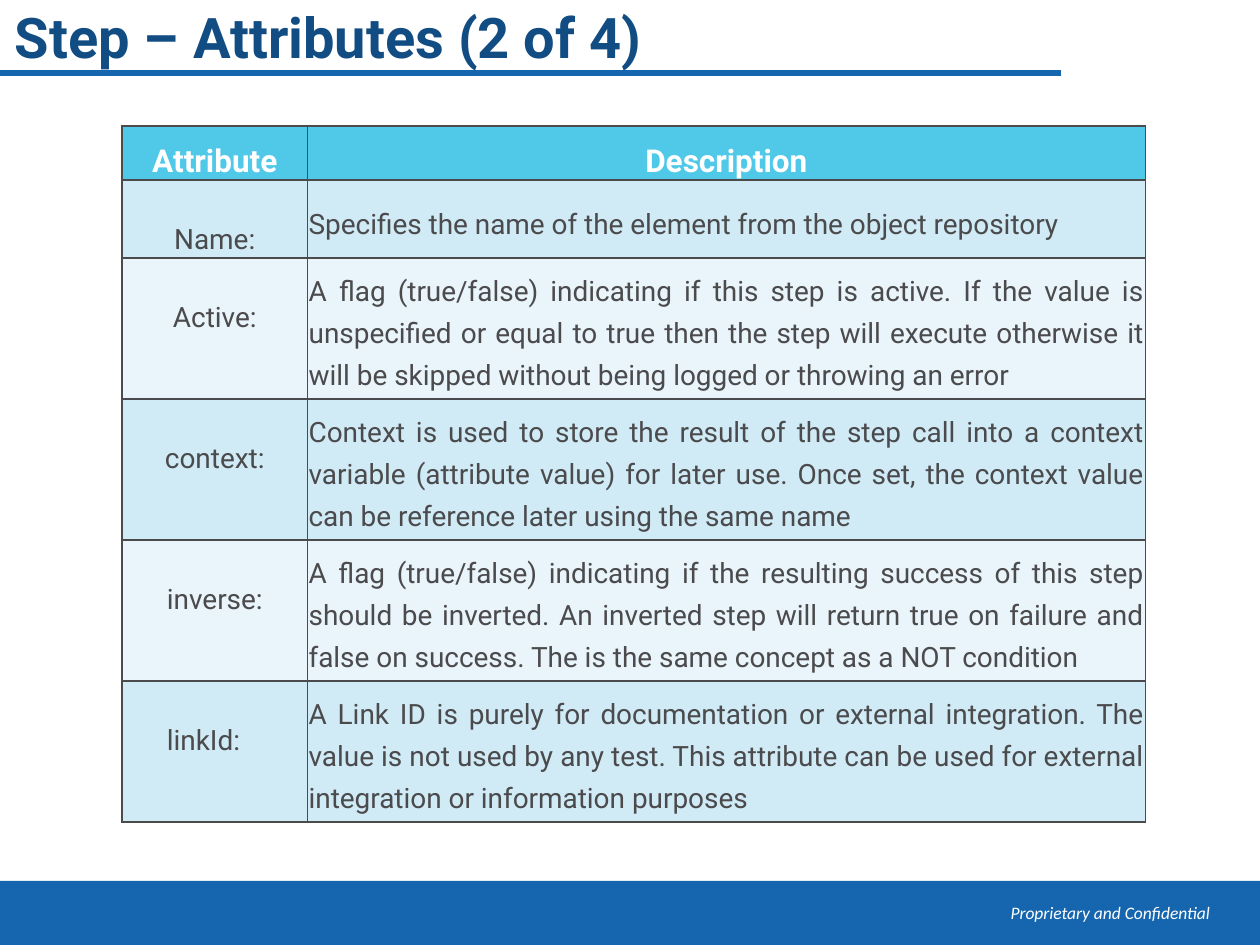
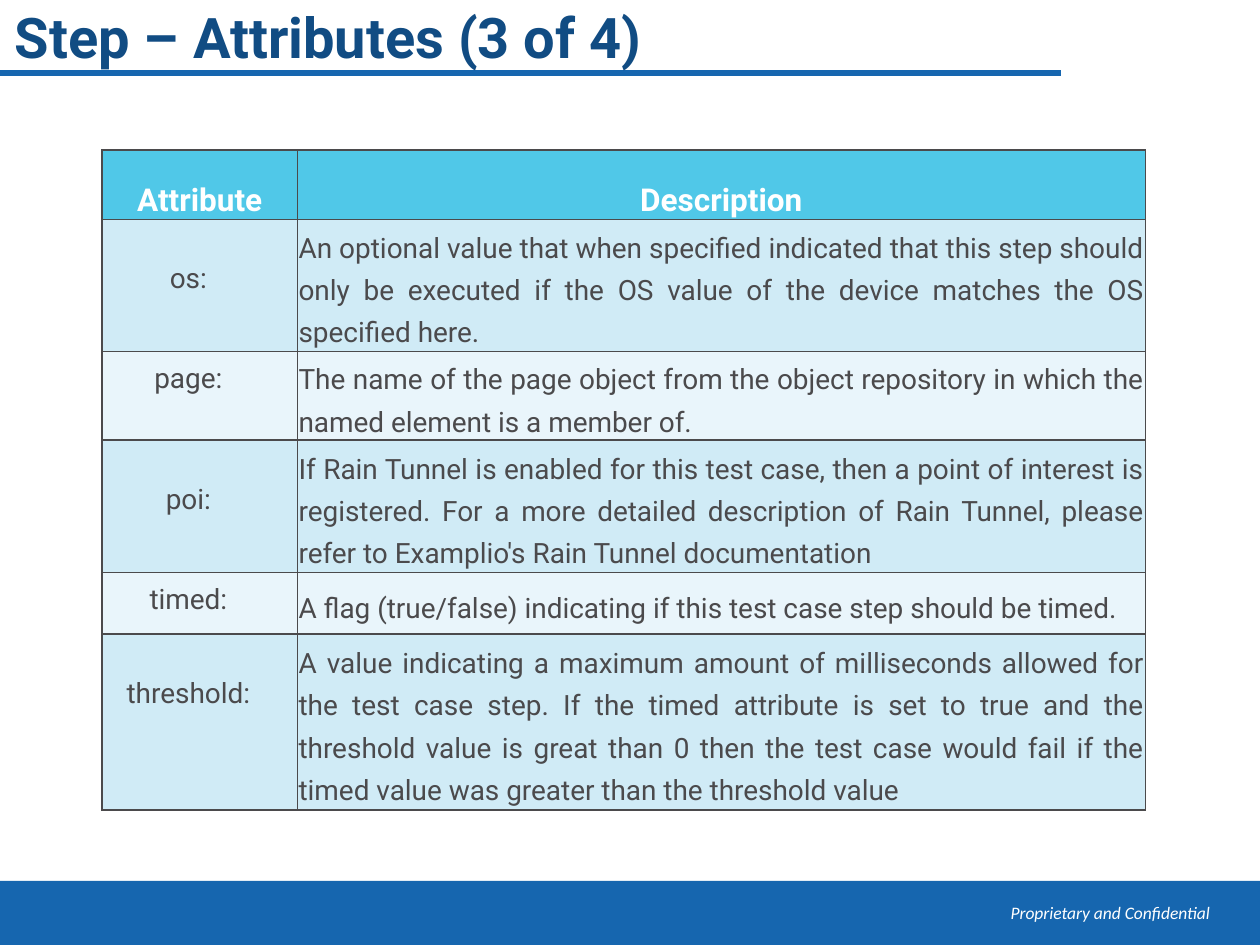
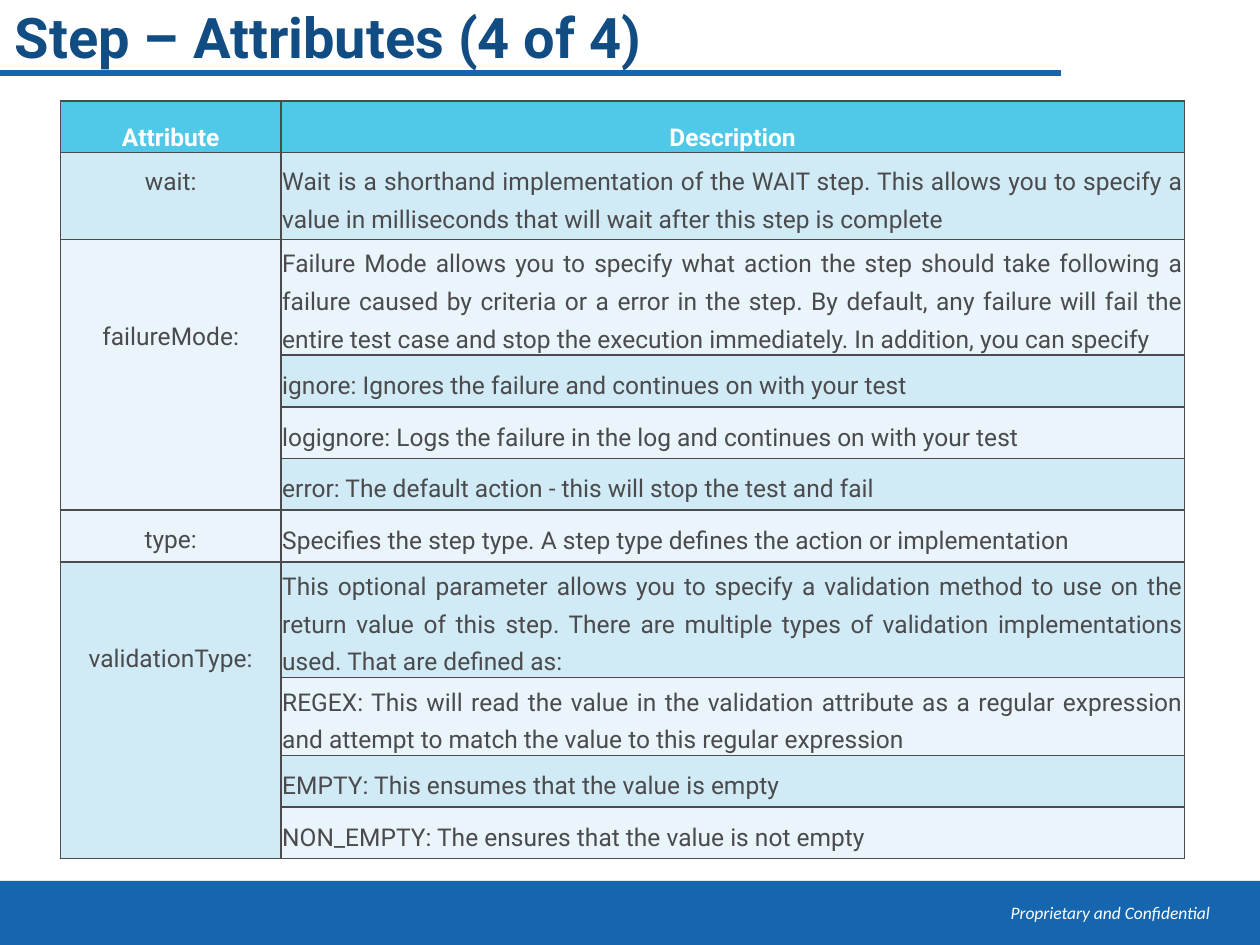
"""Build three slides of step attribute tables."""
from lxml import etree
from pptx import Presentation
from pptx.dml.color import RGBColor
from pptx.enum.shapes import MSO_CONNECTOR, MSO_SHAPE
from pptx.enum.text import MSO_ANCHOR, PP_ALIGN
from pptx.oxml.ns import qn
from pptx.util import Inches, Pt

LEFT, CENTER, RIGHT, JUSTIFY = PP_ALIGN.LEFT, PP_ALIGN.CENTER, PP_ALIGN.RIGHT, PP_ALIGN.JUSTIFY
TOP, MIDDLE, BOTTOM = MSO_ANCHOR.TOP, MSO_ANCHOR.MIDDLE, MSO_ANCHOR.BOTTOM
RECT, STRAIGHT = MSO_SHAPE.RECTANGLE, MSO_CONNECTOR.STRAIGHT

BLUE, NAVY, CYAN, WHITE, GREY = "1666AF", "114C83", "50C8E8", "FFFFFF", "4B4A4C"
BANDS = ["E9F5FB", "D0EBF6"]
TIGHT = (0.01, 0.01, 0.01, 0)
LOWERED = (0.01, 0.27, 0.01, 0)
SHIFTED = (0.01, 0.01, 0.19, 0)
LOWERED_SHIFTED = (0.01, 0.27, 0.19, 0)
ROOMY = (0.1, 0.05, 0.1, 0.05)
LOWERED_ROOMY = (0.1, 0.59, 0.1, 0.05)

TABLES = [
    {
        "title": "Step – Attributes (2 of 4)",
        "at": (0.97, 1), "cols": [1.47, 6.65],
        "heights": [0.43, 0.6, 1.12, 1.12, 1.12, 1.12],
        "head_size": 18, "size": 16,
        "rows": [
            ("Name:", LOWERED, "Specifies the name of the element from the object repository"),
            ("Active:", LOWERED,
             "A flag (true/false) indicating if this step is active. If the value is unspecified or equal "
             "to true then the step will execute otherwise it will be skipped without being logged or "
             "throwing an error"),
            ("context:", LOWERED,
             "Context is used to store the result of the step call into a context variable (attribute "
             "value) for later use. Once set, the context value can be reference later using the same name"),
            ("inverse:", LOWERED,
             "A flag (true/false) indicating if the resulting success of this step should be inverted. An "
             "inverted step will return true on failure and false on success. The is the same concept as "
             "a NOT condition"),
            ("linkId:", LOWERED_SHIFTED,
             "A Link ID is purely for documentation or external integration. The value is not used by any "
             "test. This attribute can be used for external integration or information purposes"),
        ],
    },
    {
        "title": "Step – Attributes (3 of 4)",
        "at": (0.81, 1.19), "cols": [1.55, 6.73],
        "heights": [0.55, 1.02, 0.68, 1.02, 0.49, 1.35],
        "head_size": 18, "size": 16,
        "rows": [
            ("os:", LOWERED_SHIFTED,
             "An optional value that when specified indicated that this step should only be executed if "
             "the OS value of the device matches the OS specified here."),
            ("page:", SHIFTED,
             "The name of the page object from the object repository in which the named element is a "
             "member of."),
            ("poi:", LOWERED_SHIFTED,
             "If Rain Tunnel is enabled for this test case, then a point of interest is registered. For a "
             "more detailed description of Rain Tunnel, please refer to Examplio's Rain Tunnel "
             "documentation"),
            ("timed:", SHIFTED, "A flag (true/false) indicating if this test case step should be timed."),
            ("threshold:", LOWERED_SHIFTED,
             "A value indicating a maximum amount of milliseconds allowed for the test case step. If the "
             "timed attribute is set to true and the threshold value is great than 0 then the test case "
             "would fail if the timed value was greater than the threshold value"),
        ],
    },
    {
        "title": "Step – Attributes (4 of 4)",
        "at": (0.48, 0.8), "cols": [1.75, 7.17],
        "heights": [0.41, 0.69, 0.91, 0.41, 0.41, 0.41, 0.41, 0.91, 0.61, 0.41, 0.41],
        "head_size": 14, "size": 14,
        "rows": [
            ("wait:", ROOMY,
             "Wait is a shorthand implementation of the WAIT step. This allows you to specify a value in "
             "milliseconds that will wait after this step is complete"),
            ("failureMode:", LOWERED_ROOMY,
             "Failure Mode allows you to specify what action the step should take following a failure "
             "caused by criteria or a error in the step. By default, any failure will fail the entire "
             "test case and stop the execution immediately. In addition, you can specify"),
            (None, ROOMY, "ignore: Ignores the failure and continues on with your test"),
            (None, ROOMY, "logignore: Logs the failure in the log and continues on with your test"),
            (None, ROOMY, "error: The default action - this will stop the test and fail"),
            ("type:", ROOMY, "Specifies the step type. A step type defines the action or implementation"),
            ("validationType:", LOWERED_ROOMY,
             "This optional parameter allows you to specify a validation method to use on the return "
             "value of this step. There are multiple types of validation implementations used. That are "
             "defined as:"),
            (None, ROOMY,
             "REGEX: This will read the value in the validation attribute as a regular expression and "
             "attempt to match the value to this regular expression"),
            (None, ROOMY, "EMPTY: This ensumes that the value is empty"),
            (None, ROOMY, "NON_EMPTY: The ensures that the value is not empty"),
        ],
    },
]


def rgb(color):
    return RGBColor.from_string(color)


def write(tf, text, size, color, align, font="Roboto", bold=False, italic=False, spacing=1.0):
    p = tf.paragraphs[0]
    p.text, p.alignment, p.line_spacing = text, align, spacing
    p.font.name, p.font.size, p.font.color.rgb = font, Pt(size), rgb(color)
    p.font.bold, p.font.italic = bold, italic


prs = Presentation()
prs.slide_width, prs.slide_height = Inches(10), Inches(7.5)

for spec_table in TABLES:
    s = prs.slides.add_slide(prs.slide_layouts[6])

    band = s.shapes.add_shape(RECT, Inches(0), Inches(6.99), Inches(10), Inches(0.51))
    band.shadow.inherit = False
    band.fill.solid()
    band.fill.fore_color.rgb = rgb(BLUE)
    band.line.fill.background()

    footer = s.shapes.add_textbox(Inches(7.35), Inches(7.11), Inches(2.35), Inches(0.32))
    footer.text_frame.word_wrap = True
    write(footer.text_frame, "Proprietary and Confidential", 10, WHITE, RIGHT, "Calibri", italic=True)

    rule = s.shapes.add_connector(STRAIGHT, Inches(0), Inches(0.58), Inches(8.42), Inches(0.58))
    rule.line.color.rgb = rgb(BLUE)
    rule.line.width = Pt(3)
    etree.SubElement(rule._element.spPr, qn("a:effectLst"))

    title = s.shapes.add_textbox(Inches(0.02), Inches(0.01), Inches(8.56), Inches(0.62))
    title.text_frame.word_wrap = True
    title.text_frame.vertical_anchor = MIDDLE
    write(title.text_frame, spec_table["title"], 32, NAVY, LEFT, bold=True, spacing=0.88)

    left, top = spec_table["at"]
    cols, heights = spec_table["cols"], spec_table["heights"]
    rows = [("Attribute", TIGHT, "Description")] + spec_table["rows"]
    table = s.shapes.add_table(len(rows), 2, Inches(left), Inches(top),
                               Inches(sum(cols)), Inches(sum(heights))).table
    table.first_row = table.horz_banding = False
    for column, width in zip(table.columns, cols):
        column.width = Inches(width)

    for i, (attribute, margins, description) in enumerate(rows):
        table.rows[i].height = Inches(heights[i])
        header = i == 0
        for j, (text, insets) in enumerate([(attribute, margins), (description, TIGHT)]):
            cell = table.cell(i, j)
            tcPr = cell._tc.get_or_add_tcPr()
            for side in ("lnL", "lnR", "lnT", "lnB"):
                ln = etree.SubElement(tcPr, qn("a:" + side), w=str(Pt(1)))
                fill = etree.SubElement(ln, qn("a:solidFill"))
                etree.SubElement(fill, qn("a:srgbClr"), val=GREY)
            cell.fill.solid()
            cell.fill.fore_color.rgb = rgb(CYAN if header else BANDS[i % 2])
            cell.margin_left, cell.margin_top, cell.margin_right, cell.margin_bottom = map(Inches, insets)
            cell.vertical_anchor = BOTTOM if header else (TOP, MIDDLE)[j]
            if text:
                write(cell.text_frame, text, spec_table["head_size" if header else "size"],
                      WHITE if header else GREY, CENTER if header or j == 0 else JUSTIFY,
                      bold=header, spacing=1.3)

    starts = [i for i, row in enumerate(rows) if row[0]] + [len(rows)]
    for start, end in zip(starts, starts[1:]):
        if end - start > 1:
            table.cell(start, 0).merge(table.cell(end - 1, 0))

prs.save("out.pptx")
